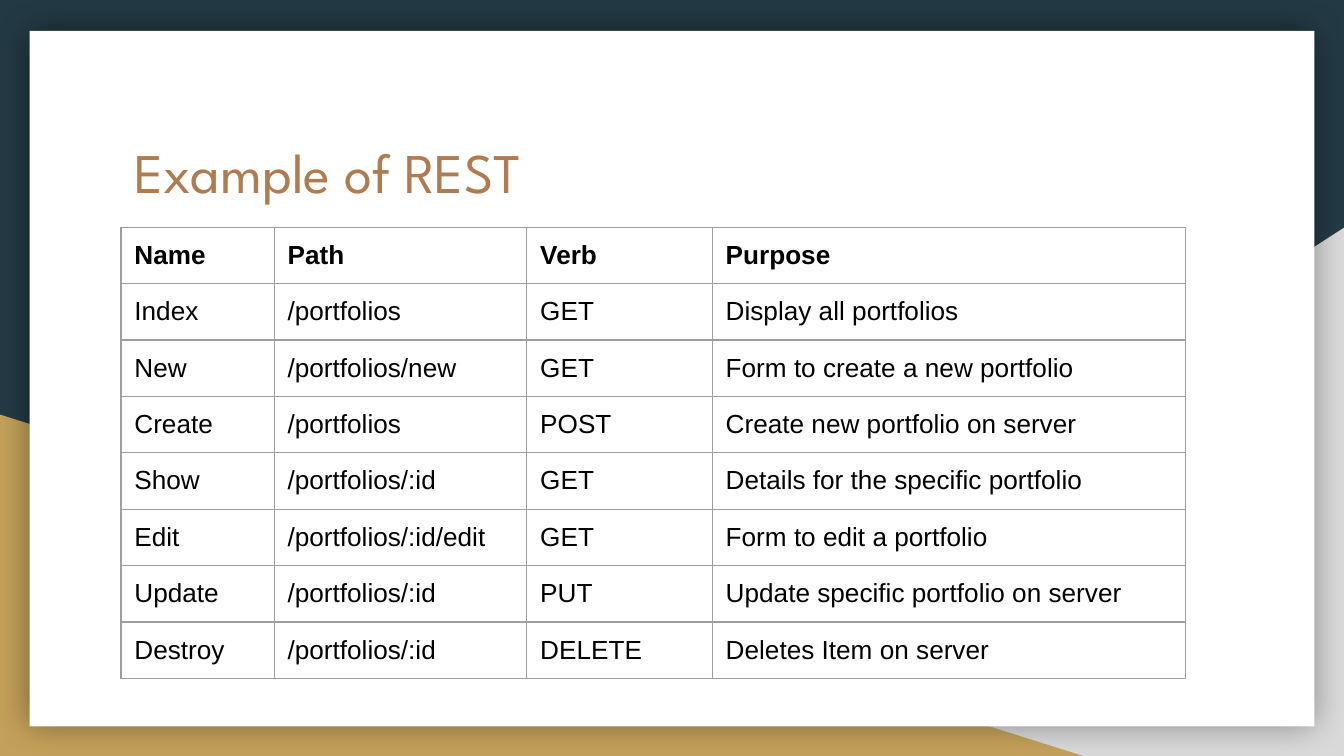
import dataclasses

import pptx
import pptx.dml.color
import pptx.enum.shapes
import pptx.enum.text
import pptx.oxml.ns
import pptx.util
from lxml import etree

Inches = pptx.util.Inches
SHAPES = pptx.enum.shapes.MSO_SHAPE
ANCHORS = pptx.enum.text.MSO_ANCHOR


@dataclasses.dataclass(frozen=True)
class Theme:
    """Hold the colours, fonts and sizes of the deck."""
    night: str = "233A44"
    silver: str = "D9D9D9"
    gold: str = "C4A15A"
    paper: str = "FFFFFF"
    copper: str = "AF7B51"
    ink: str = "000000"
    rule: str = "9E9E9E"
    title_font: str = "League Spartan"
    table_font: str = "Arial"
    title_size: int = 30
    table_size: int = 14
    rule_width: float = 0.75
    inset: float = 0.1
    cell_bottom: float = 0.08


THEME = Theme()
COLUMN_WIDTHS = (1.14, 1.88, 1.38, 3.52)
ROW_HEIGHT = 0.42
ROUTES = (
    ("Name", "Path", "Verb", "Purpose"),
    ("Index", "/portfolios", "GET", "Display all portfolios"),
    ("New", "/portfolios/new", "GET", "Form to create a new portfolio"),
    ("Create", "/portfolios", "POST", "Create new portfolio on server"),
    ("Show", "/portfolios/:id", "GET", "Details for the specific portfolio"),
    ("Edit", "/portfolios/:id/edit", "GET", "Form to edit a portfolio"),
    ("Update", "/portfolios/:id", "PUT", "Update specific portfolio on server"),
    ("Destroy", "/portfolios/:id", "DELETE", "Deletes Item on server"),
)


def rgb(value):
    """Return a colour object for a hex string."""
    return pptx.dml.color.RGBColor.from_string(value)


def add_child(parent, tag, **attributes):
    """Append a drawing element with its attributes and return it."""
    child = etree.SubElement(parent, pptx.oxml.ns.qn(tag))
    for name, value in attributes.items():
        child.set(name, str(value))
    return child


def write_text(frame, text, *, font, size, color, bold=False):
    """Write one formatted paragraph into a text frame."""
    span = frame.paragraphs[0].add_run()
    span.text = text
    span.font.name = font
    span.font.size = pptx.util.Pt(size)
    span.font.bold = bold
    span.font.color.rgb = rgb(color)


def set_margins(target, bottom=THEME.inset):
    """Give a cell or text frame the theme inset, with its own bottom margin."""
    for side in ("left", "right", "top"):
        setattr(target, f"margin_{side}", Inches(THEME.inset))
    target.margin_bottom = Inches(bottom)


def add_panel(page, kind, box, color):
    """Add a plain filled shape without outline or shadow."""
    panel = page.shapes.add_shape(kind, *map(Inches, box))
    panel.shadow.inherit = False
    panel.fill.solid()
    panel.fill.fore_color.rgb = rgb(color)
    panel.line.fill.background()
    return panel


def add_backdrop(page, box):
    """Draw the corner triangles and the shadowed sheet within the page box."""
    left, top, width, height = box
    page.background.fill.solid()
    page.background.fill.fore_color.rgb = rgb(THEME.night)
    corners = ((6.08, 3.93, THEME.silver, True), (8.06, 2.54, THEME.gold, False))
    for wide, high, color, on_right in corners:
        start = left + width - wide if on_right else left
        corner_box = (start, top + height - high, wide, high)
        corner = add_panel(page, SHAPES.RIGHT_TRIANGLE, corner_box, color)
        if on_right:
            corner._element.spPr.xfrm.set("flipH", "1")
    sheet_box = (left + 0.22, top + 0.23, width - 0.44, height - 0.45)
    sheet = add_panel(page, SHAPES.RECTANGLE, sheet_box, THEME.paper)
    effects = sheet._element.spPr.find(pptx.oxml.ns.qn("a:effectLst"))
    shadow = add_child(effects, "a:outerShdw", blurRad=pptx.util.Pt(18), dist=0, dir=0,
                       algn="ctr", rotWithShape=0)
    shade = add_child(shadow, "a:srgbClr", val=THEME.ink)
    add_child(shade, "a:alpha", val=40000)


def add_title(page, box, text):
    """Place the slide title in the given box."""
    frame = page.shapes.add_textbox(*map(Inches, box)).text_frame
    frame.word_wrap = True
    frame.vertical_anchor = ANCHORS.TOP
    set_margins(frame)
    write_text(frame, text, font=THEME.title_font, size=THEME.title_size, color=THEME.copper)


def add_cell_borders(cell):
    """Draw a thin rule on all four sides of a cell."""
    properties = cell._tc.get_or_add_tcPr()
    for tag in ("a:lnL", "a:lnR", "a:lnT", "a:lnB"):
        line = add_child(properties, tag, w=pptx.util.Pt(THEME.rule_width))
        fill = add_child(line, "a:solidFill")
        add_child(fill, "a:srgbClr", val=THEME.rule)


def add_route_table(page, box, rows):
    """Build the ruled table of routes with a bold heading row."""
    table = page.shapes.add_table(len(rows), len(rows[0]), *map(Inches, box)).table
    table.first_row = False
    table.horz_banding = False
    for column, width in zip(table.columns, COLUMN_WIDTHS):
        column.width = Inches(width)
    for row_index, (row, values) in enumerate(zip(table.rows, rows)):
        row.height = Inches(ROW_HEIGHT)
        for cell, value in zip(row.cells, values):
            set_margins(cell, bottom=THEME.cell_bottom)
            add_cell_borders(cell)
            cell.fill.background()
            write_text(cell.text_frame, value, font=THEME.table_font, size=THEME.table_size,
                       color=THEME.ink, bold=row_index == 0)


def main():
    """Build the slide and save the deck."""
    deck = pptx.Presentation()
    deck.slide_width = Inches(10)
    deck.slide_height = deck.slide_width * 9 // 16
    page = deck.slides.add_slide(deck.slide_layouts[6])
    add_backdrop(page, (0, 0, deck.slide_width.inches, deck.slide_height.inches))
    add_title(page, (0.9, 0.92, 8.21, 1.04), "Example of REST")
    table_box = (0.9, 1.69, sum(COLUMN_WIDTHS), ROW_HEIGHT * len(ROUTES))
    add_route_table(page, table_box, ROUTES)
    deck.save("out.pptx")


if __name__ == "__main__":
    main()
